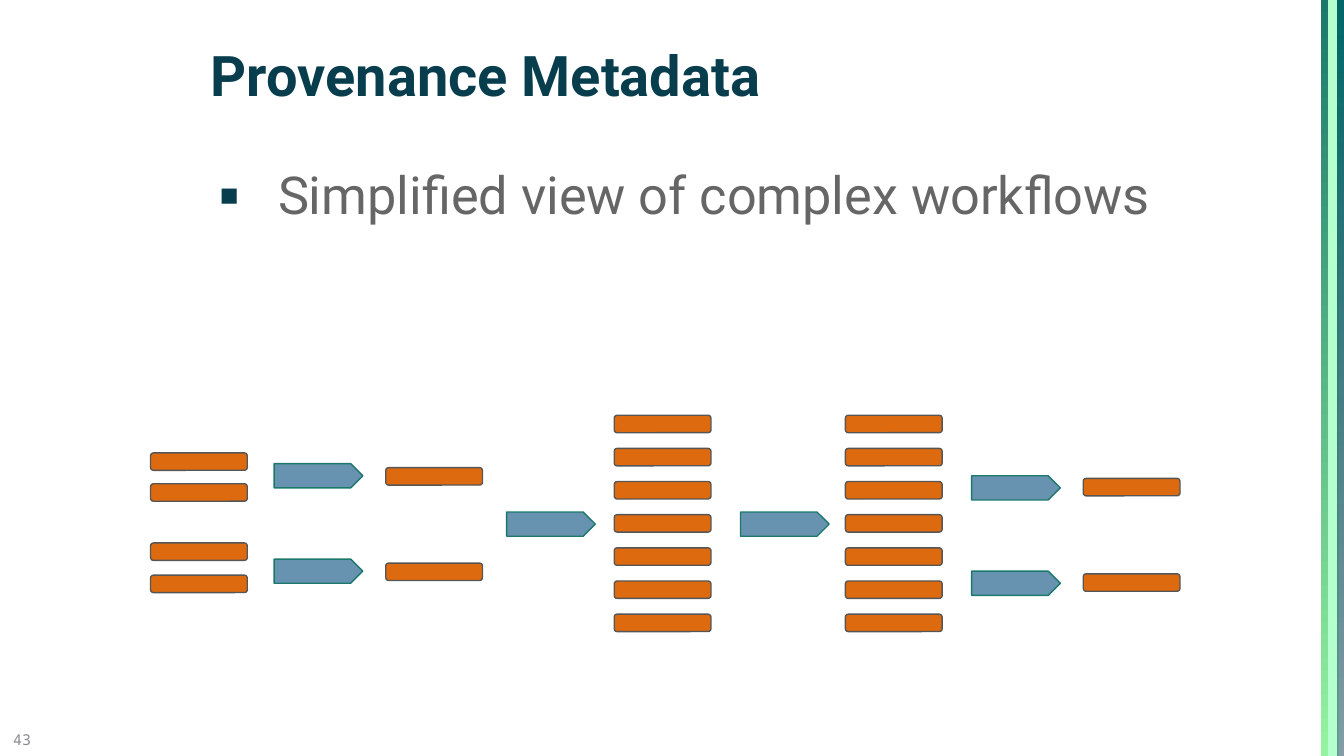
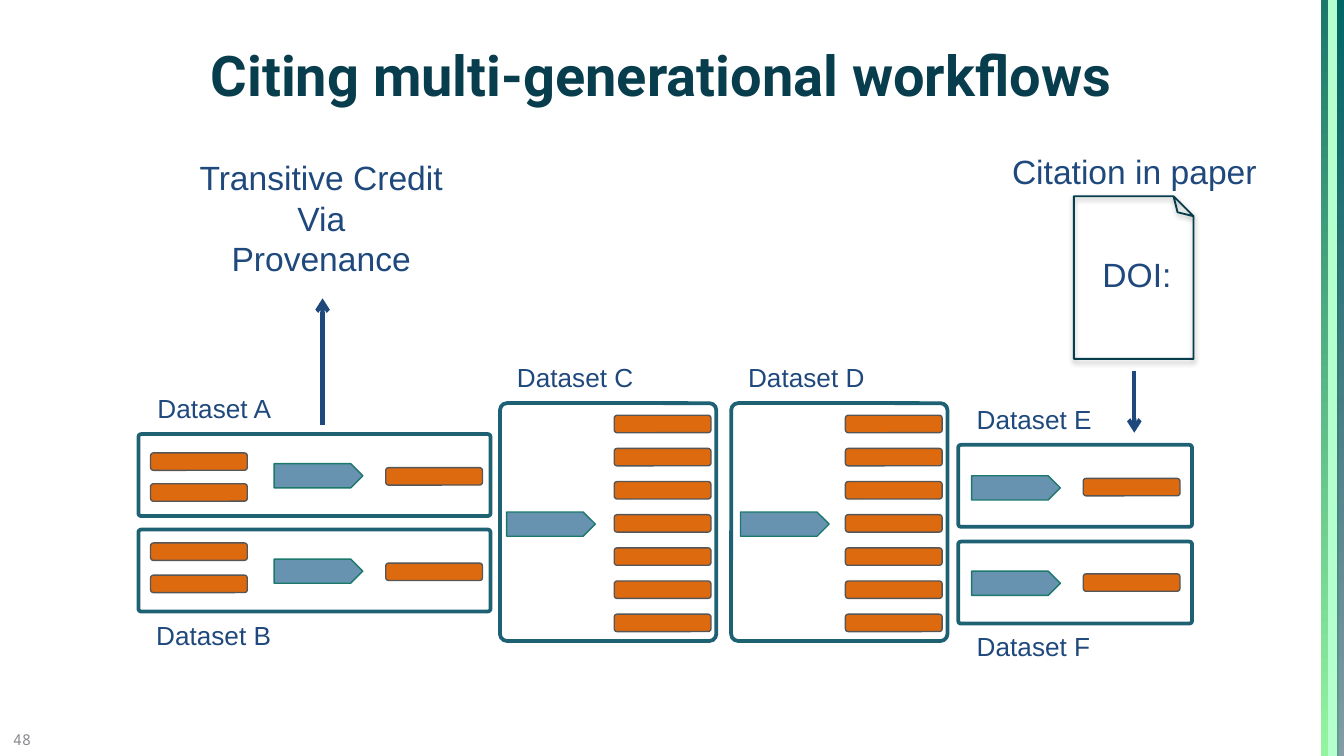
from lxml import etree
from pptx import Presentation
from pptx import util as u
from pptx.dml.color import RGBColor
from pptx.enum import shapes, text
from pptx.oxml.ns import qn

NAVY = RGBColor(0x07, 0x3D, 0x4D)
PAGE_LINE = RGBColor(0x05, 0x3D, 0x4D)
BODY_GREY = RGBColor(0x66, 0x66, 0x66)
NUMBER_GREY = RGBColor(0x89, 0x89, 0x90)
LABEL_BLUE = RGBColor(0x1F, 0x49, 0x7D)
FRAME_TEAL = RGBColor(0x1D, 0x61, 0x73)
ORANGE = RGBColor(0xDE, 0x6A, 0x10)
BAR_LINE = RGBColor(0x56, 0x56, 0x56)
STEP_BLUE = RGBColor(0x35, 0x70, 0x98)
GREEN = RGBColor(0x1B, 0x78, 0x6B)
LIGHT_GREEN = RGBColor(0x93, 0xF4, 0xA0)
MINT = RGBColor(0x6D, 0xFF, 0xA1)
DEEP_TEAL = RGBColor(0x00, 0x66, 0x66)

SLIDE_WIDTH = 10
SLIDE_HEIGHT = SLIDE_WIDTH * 9 / 16

LEFT, CENTER = text.PP_ALIGN.LEFT, text.PP_ALIGN.CENTER
TOP, MIDDLE = text.MSO_ANCHOR.TOP, text.MSO_ANCHOR.MIDDLE
RECT = shapes.MSO_SHAPE.RECTANGLE
ROUNDED = shapes.MSO_SHAPE.ROUNDED_RECTANGLE
PENTAGON = shapes.MSO_SHAPE.PENTAGON

# Text styles: font values, colour, alignment, anchor, side inset, top inset, wrap
TITLE = (dict(name="Roboto", size=u.Pt(30), bold=True), NAVY, LEFT, MIDDLE, 0.1, 0.1, True)
BODY = (dict(name="Roboto", size=u.Pt(28)), BODY_GREY, LEFT, TOP, 0.1, 0.1, True)
NUMBER = (dict(name="Noto Sans Mono", size=u.Pt(8)), NUMBER_GREY, LEFT, MIDDLE, 0.1, 0.05, True)
NOTE = (dict(name="Arial", size=u.Pt(18)), LABEL_BLUE, CENTER, TOP, 0.08, 0.04, False)
LABEL = (dict(name="Arial", size=u.Pt(14)), LABEL_BLUE, CENTER, TOP, 0.08, 0.04, False)


def add_block(slide, kind, box, colors=(), alpha=None, line=None, width=0.75):
    """Add a shape with no, one or two (gradient) colours; alpha applies to the last."""
    shape = slide.shapes.add_shape(kind, *map(u.Inches, box))
    shape.shadow.inherit = False
    if not colors:
        shape.fill.background()
    elif len(colors) == 1:
        shape.fill.solid()
        shape.fill.fore_color.rgb = colors[0]
    else:
        shape.fill.gradient()
        shape.fill.gradient_angle = 270
        for stop, color in zip(shape.fill.gradient_stops, colors):
            stop.color.rgb = color
    if alpha:
        color_element = shape.element.xpath("./p:spPr//a:srgbClr")[-1]
        etree.SubElement(color_element, qn("a:alpha"), val=str(alpha * 1000))
    if line is None:
        shape.line.fill.background()
    else:
        shape.line.color.rgb = line
        shape.line.width = u.Pt(width)
    return shape


def add_text(slide, box, lines, style):
    font, color, alignment, anchor, side, top, wrap = style
    frame = slide.shapes.add_textbox(*map(u.Inches, box)).text_frame
    frame_format = dict(
        text="\n".join(lines), word_wrap=wrap, vertical_anchor=anchor,
        margin_left=u.Inches(side), margin_right=u.Inches(side),
        margin_top=u.Inches(top), margin_bottom=u.Inches(top),
        auto_size=text.MSO_AUTO_SIZE.NONE if wrap else text.MSO_AUTO_SIZE.SHAPE_TO_FIT_TEXT)
    for name, value in frame_format.items():
        setattr(frame, name, value)
    for paragraph in frame.paragraphs:
        paragraph.alignment = alignment
        for run in paragraph.runs:
            for name, value in font.items():
                setattr(run.font, name, value)
            run.font.color.rgb = color
    return frame


presentation = Presentation()
presentation.slide_width = u.Inches(SLIDE_WIDTH)
presentation.slide_height = u.Inches(SLIDE_HEIGHT)

# Side bands: left, width, colours, alpha
bands = [
    (9.88, 0.08, [MINT], 50),
    (9.83, 0.05, [GREEN, LIGHT_GREEN], None),
    (9.95, 0.07, [DEEP_TEAL, NAVY], 50),
]

# The workflow: input and result bars, and the steps between them
bars = [(1.12, top) for top in (3.37, 3.6, 4.04, 4.28)]
bars += [(2.87, 3.48), (2.87, 4.19), (8.06, 3.56), (8.06, 4.27)]
bars += [(left, 3.09 + row * 1.48 / 6) for left in (4.57, 6.29) for row in range(7)]
steps = [(2.04, 3.45), (2.04, 4.16), (3.77, 3.81), (5.51, 3.81), (7.23, 3.54), (7.23, 4.25)]

# Datasets: frame and label box
datasets = {
    "Dataset A": ((1.03, 3.23, 2.62, 0.61), (0.93, 2.88, 1.33, 0.4)),
    "Dataset B": ((1.03, 3.94, 2.62, 0.61), (0.93, 4.57, 1.32, 0.4)),
    "Dataset C": ((3.72, 3, 1.61, 1.77), (3.61, 2.65, 1.34, 0.4)),
    "Dataset D": ((5.44, 3, 1.61, 1.77), (5.33, 2.65, 1.34, 0.4)),
    "Dataset E": ((7.13, 3.31, 1.74, 0.61), (7.04, 2.96, 1.31, 0.4)),
    "Dataset F": ((7.13, 4.03, 1.74, 0.61), (7.04, 4.65, 1.3, 0.4)),
}

slides = []
for title, number, framed in [
    ("Provenance Metadata", "43", False),
    ("Citing multi-generational workflows", "48", True),
]:
    slide = presentation.slides.add_slide(presentation.slide_layouts[6])
    slides.append(slide)
    for left, width, colors, alpha in bands:
        add_block(slide, RECT, (left, 0, width, SLIDE_HEIGHT), colors, alpha)
    add_text(slide, (1.47, 0.08, 7.78, 0.94), [title], TITLE)
    add_text(slide, (0, 5.35, 2.33, 0.3), [number], NUMBER)
    if framed:
        for frame_box, label_box in datasets.values():
            frame = add_block(slide, ROUNDED, frame_box, line=FRAME_TEAL, width=2)
            frame.adjustments[0] = 0.033
    for left, top in bars:
        add_block(slide, ROUNDED, (left, top, 0.72, 0.13), [ORANGE], line=BAR_LINE)
    for left, top in steps:
        add_block(slide, PENTAGON, (left, top, 0.66, 0.18), [STEP_BLUE], 75, GREEN)
metadata_slide, citing_slide = slides

# Provenance Metadata: bullet
body = add_text(metadata_slide, (1.47, 1.11, 7.78, 4.15),
                ["Simplified view of complex workflows"], BODY)
properties = body.paragraphs[0]._p.get_or_add_pPr()
properties.set("marL", str(u.Inches(0.5)))
properties.set("indent", str(u.Inches(-0.44)))
bullet_color = etree.SubElement(properties, qn("a:buClr"))
etree.SubElement(bullet_color, qn("a:srgbClr"), val=str(NAVY))
etree.SubElement(properties, qn("a:buFont"), typeface="Roboto")
etree.SubElement(properties, qn("a:buChar"), char="▪")

# Citing workflows: paper with a soft shadow
paper = add_block(citing_slide, shapes.MSO_SHAPE.FOLDED_CORNER, (7.83, 1.62, 1.21, 0.89),
                  line=PAGE_LINE, width=1)
paper.rotation = 270
effects = paper.element.xpath("./p:spPr/a:effectLst")[0]
shadow = etree.SubElement(effects, qn("a:outerShdw"), blurRad=str(u.Pt(3.1)),
                          dist=str(u.Pt(1.8)), dir="5400000", rotWithShape="0")
shadow_color = etree.SubElement(shadow, qn("a:srgbClr"), val="000000")
etree.SubElement(shadow_color, qn("a:alpha"), val="35000")

# Citing workflows: notes, dataset labels and arrows
add_text(citing_slide, (8.11, 1.85, 0.7, 0.38), ["DOI:"], NOTE)
add_text(citing_slide, (7.43, 1.08, 2.02, 0.38), ["Citation in paper"], NOTE)
add_text(citing_slide, (1.4, 1.13, 1.98, 0.99), ["Transitive Credit", "Via", "Provenance"], NOTE)
for name, (frame_box, label_box) in datasets.items():
    add_text(citing_slide, label_box, [name], LABEL)

for x, start, end in [(8.44, 2.76, 3.22), (2.4, 3.16, 2.22)]:
    arrow = citing_slide.shapes.add_connector(
        shapes.MSO_CONNECTOR.STRAIGHT, *map(u.Inches, (x, start, x, end)))
    arrow.line.color.rgb = LABEL_BLUE
    arrow.line.width = u.Pt(2.25)
    etree.SubElement(arrow.element.xpath("./p:spPr/a:ln")[0], qn("a:tailEnd"), type="arrow")
    etree.SubElement(arrow.element.spPr, qn("a:effectLst"))

presentation.save("out.pptx")
